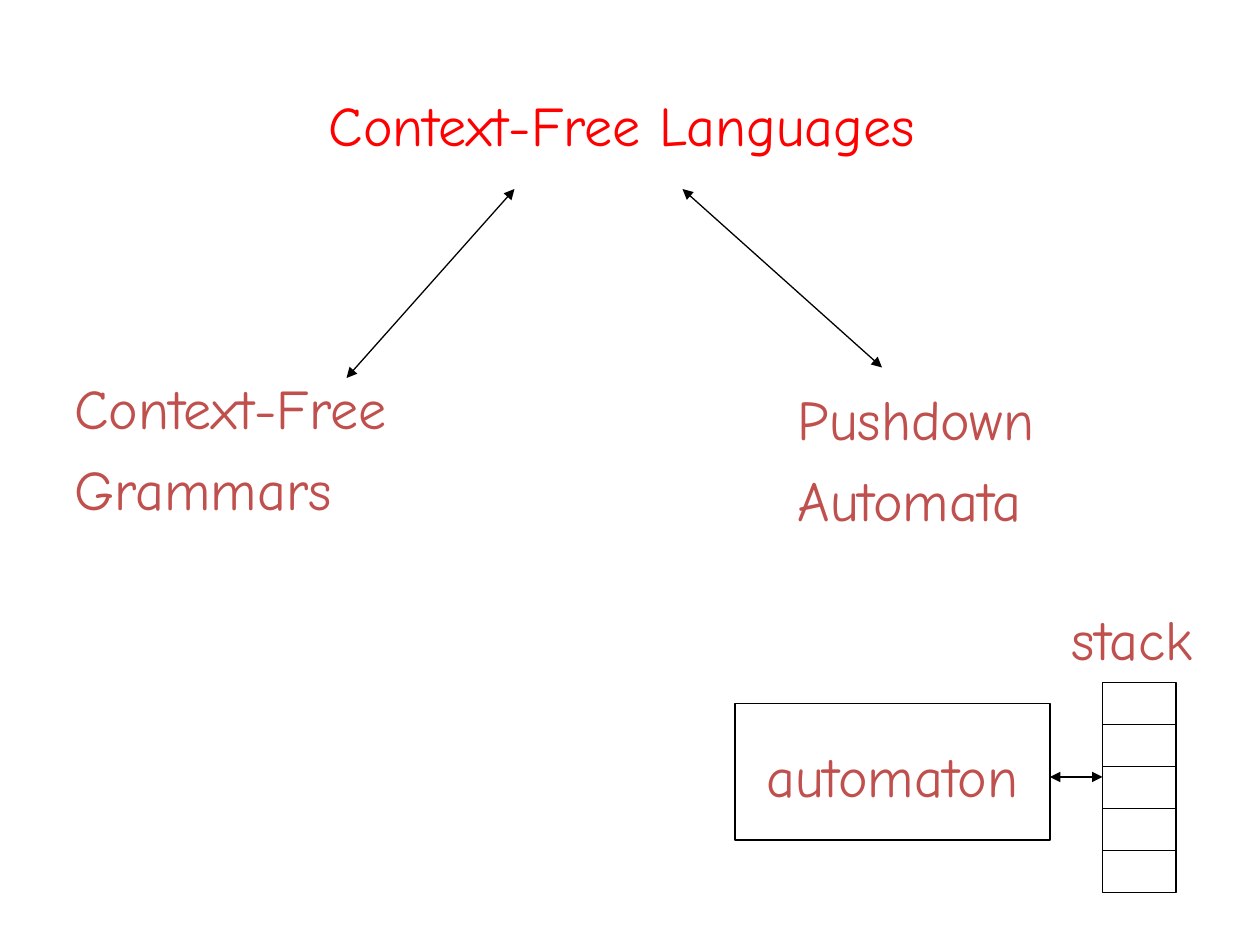
from lxml import etree
from pptx import Presentation
from pptx import util as u
from pptx.dml.color import RGBColor
from pptx.enum import shapes, text
from pptx.oxml.ns import qn

PX = 7620  # EMU in one px, 120 px to the inch
BLACK = RGBColor(0, 0, 0)
RED = RGBColor(255, 0, 0)
BRICK = RGBColor(0xC0, 0x50, 0x4D)

deck = Presentation()
deck.slide_width, deck.slide_height = 1200 * PX, 900 * PX
slide = deck.slides.add_slide(deck.slide_layouts[5])
items = slide.shapes


def label(box, place, lines, color):
    for side, val in zip(("left", "top", "width", "height"), place):
        setattr(box, side, val * PX)
    frame = box.text_frame
    frame.text = "\n".join(lines)
    form = {"word_wrap": False, "auto_size": text.MSO_AUTO_SIZE.SHAPE_TO_FIT_TEXT,
            "vertical_anchor": text.MSO_ANCHOR.TOP}
    for key, val in form.items():
        setattr(frame, key, val)
    for para in frame.paragraphs:
        para.alignment = text.PP_ALIGN.LEFT
        para.space_before = u.Pt(8)
        font = para.runs[0].font
        for key, val in {"name": "Comic Neue", "size": u.Pt(32)}.items():
            setattr(font, key, val)
        font.color.rgb = color


def link(ends, heads=False):
    """Draw a thin black line, with an arrowhead at both ends if asked."""
    line = items.add_connector(shapes.MSO_CONNECTOR.STRAIGHT, *(n * PX for n in ends))
    line.line.color.rgb = BLACK
    line.line.width = u.Pt(0.75)
    if heads:
        for tag in ("a:headEnd", "a:tailEnd"):
            etree.SubElement(line.line._get_or_add_ln(), qn(tag), type="triangle")
    etree.SubElement(line._element.spPr, qn("a:effectLst"))


# Title and the two equal models
label(items.title, (301, 80, 586, 77), ["Context-Free Languages"], RED)
for ends in ((490, 180, 330, 360), (650, 180, 840, 350)):
    link(ends, heads=True)

# Automaton box and stack
for place in ((700, 670, 300, 130), (1050, 650, 70, 200)):
    rect = items.add_shape(shapes.MSO_SHAPE.RECTANGLE, *(n * PX for n in place))
    rect.shadow.inherit = False
    rect.fill.background()
    rect.line.color.rgb = BLACK
    rect.line.width = u.Pt(0.75)
for row in range(1, 5):
    y = 650 + 40 * row
    link((1050, y, 1120, y))
link((1000, 740, 1050, 740), heads=True)

# Labels
for place, lines in (
    ((748, 360, 250, 154), ["Pushdown", "Automata"]),
    ((59, 350, 324, 154), ["Context-Free", "Grammars"]),
    ((1009, 570, 140, 77), ["stack"]),
    ((718, 700, 266, 77), ["automaton"]),
):
    label(items.add_textbox(0, 0, 0, 0), place, lines, BRICK)

deck.save("out.pptx")
